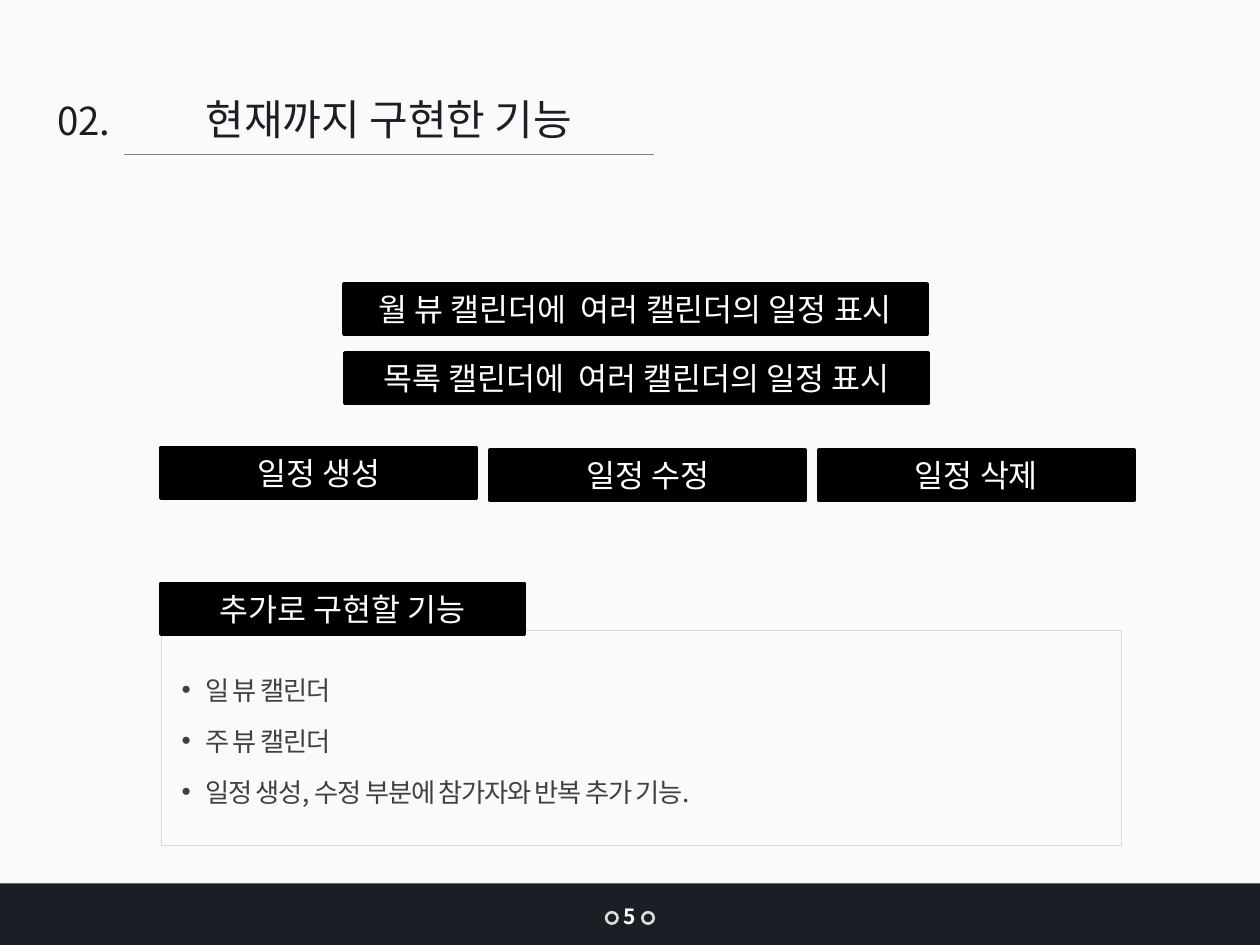
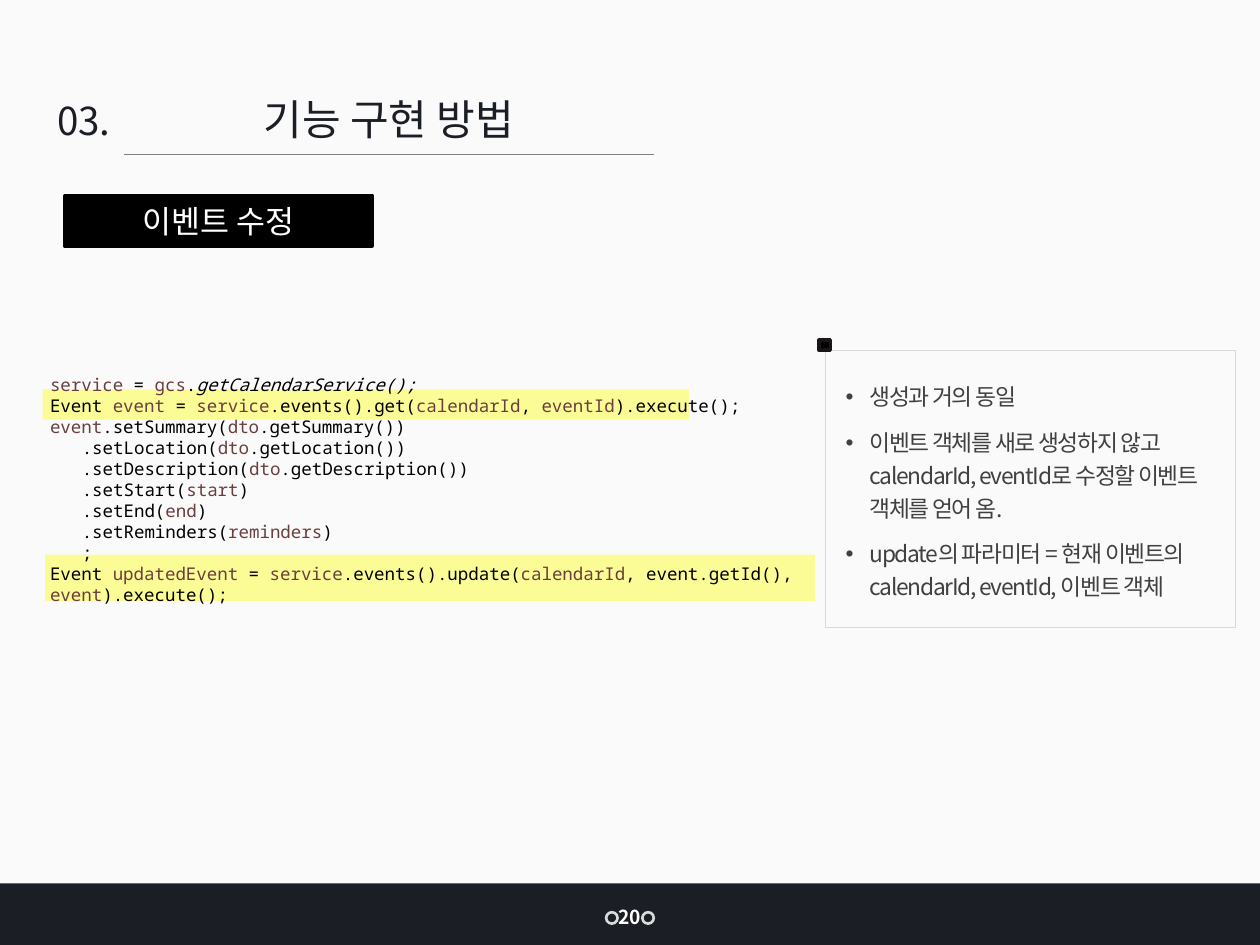
import pptx
import pptx.dml.color
import pptx.enum.shapes
import pptx.enum.text
import pptx.oxml.ns
import pptx.util
from dataclasses import dataclass
from lxml import etree

Cm, Pt = pptx.util.Cm, pptx.util.Pt
SHAPE = pptx.enum.shapes.MSO_SHAPE
ALIGN = pptx.enum.text.PP_ALIGN
qn = pptx.oxml.ns.qn


@dataclass(frozen=True)
class Theme:
    sans: str = "Noto Sans CJK KR"
    mono: str = "Noto Sans Mono"
    paper: str = "FAFAFA"
    navy: str = "1B1E25"
    black: str = "000000"
    white: str = "FFFFFF"
    body: str = "404040"
    rule: str = "808080"
    frame: str = "D9D9D9"
    ring: str = "D8DBD7"
    marker_edge: str = "1A1617"
    variable: str = "6A3E3E"
    highlight: str = "FFFF00"
    title_size: int = 24
    number_size: int = 22
    label_size: int = 18
    code_size: int = 10


THEME = Theme()

# Places are (left, top, width, height) in centimetres.
WIDE_LABELS = [
    ("월 뷰 캘린더에  여러 캘린더의 일정 표시", (6.93, 5.72, 11.76, 1.02)),
    ("목록 캘린더에  여러 캘린더의 일정 표시", (6.96, 7.11, 11.76, 1.02)),
]
EVENT_LABELS = [("일정 생성", 9.02), ("일정 수정", 9.07), ("일정 삭제", 9.07)]
EVENT_LEFT, EVENT_PITCH, EVENT_WIDTH, LABEL_HEIGHT = 3.25, 6.63, 6.35, 1.02

TODO_LABEL = ("추가로 구현할 기능", (3.25, 11.76, 7.32, 1.02))
TODO_PLACE = (3.25, 12.7, 19.35, 4.34)
TODO_ITEMS = [
    "일 뷰 캘린더",
    "주 뷰 캘린더",
    "일정 생성, 수정 부분에 참가자와 반복 추가 기능.",
]

UPDATE_LABEL = ("이벤트 수정", (1.3, 3.94, 6.2, 1.02))
UPDATE_PLACE = (16.64, 7.06, 8.26, 5.59)
UPDATE_ITEMS = [
    "생성과 거의 동일",
    "이벤트 객체를 새로 생성하지 않고 calendarId, eventId로 수정할 이벤트 객체를 얻어 옴.",
    "update의 파라미터 = 현재 이벤트의 calendarId, eventId, 이벤트 객체",
]
MARKER_PLACE = (16.51, 6.86, 0.23, 0.2)
HIGHLIGHTS = [(0.91, 11.18, 15.52, 0.94), (0.86, 7.85, 13.03, 0.61)]
CODE_PLACE = (0.76, 7.39, 15.67, 4.95)
# Backticks enclose variables, asterisks enclose italics.
CODE = [
    (0, "`service` = `gcs`.*getCalendarService();*"),
    (0, "Event `event` = `service`.events().get(`calendarId`, `eventId`).execute();"),
    (0, "`event`.setSummary(`dto`.getSummary())"),
    (1, ".setLocation(`dto`.getLocation())"),
    (1, ".setDescription(`dto`.getDescription())"),
    (1, ".setStart(`start`)"),
    (1, ".setEnd(`end`)"),
    (1, ".setReminders(`reminders`)"),
    (1, ";"),
    (0, "Event `updatedEvent` = `service`.events().update(`calendarId`, event.getId(), `event`).execute();"),
]
CODE_INDENT = 0.64


def rgb(value):
    return pptx.dml.color.RGBColor.from_string(value)


def set_all(target, values):
    for name, value in values.items():
        setattr(target, name, value)


def add_block(page, place, fill=None, line=None, width=1, kind=SHAPE.RECTANGLE):
    shape = page.shapes.add_shape(kind, *map(Cm, place))
    shape.shadow.inherit = False
    if fill:
        shape.fill.solid()
        shape.fill.fore_color.rgb = rgb(fill)
    else:
        shape.fill.background()
    if line:
        shape.line.color.rgb = rgb(line)
        shape.line.width = Pt(width)
    else:
        shape.line.fill.background()
    return shape


def add_span(para, text, size, color, font=THEME.sans, **extra):
    """Add a run that uses one font for Latin and Korean letters."""
    span = para.add_run()
    span.text = text
    set_all(span.font, {"size": Pt(size), "name": font, **extra})
    span.font.color.rgb = rgb(color)
    etree.SubElement(span.font._element, qn("a:ea"), typeface=font)
    return span


def next_para(frame, index):
    return frame.add_paragraph() if index else frame.paragraphs[0]


def set_frame(shape, side=0.25):
    frame = shape.text_frame
    set_all(frame, {
        "word_wrap": True,
        "vertical_anchor": pptx.enum.text.MSO_ANCHOR.MIDDLE,
        "margin_left": Cm(side),
        "margin_right": Cm(side),
    })
    return frame


def add_centred(shape, text, size, color, **extra):
    para = set_frame(shape).paragraphs[0]
    para.alignment = ALIGN.CENTER
    add_span(para, text, size, color, **extra)


def add_text(page, place, text, size, color, **extra):
    box = page.shapes.add_textbox(*map(Cm, place))
    add_centred(box, text, size, color, **extra)


def add_label(page, text, place):
    label = add_block(page, place, THEME.black, THEME.black, 2)
    add_centred(label, text, THEME.label_size, THEME.white)


def add_bullet_panel(page, place, items, size):
    frame = set_frame(add_block(page, place, line=THEME.frame, width=0.5), side=0.41)
    for index, item in enumerate(items):
        para = next_para(frame, index)
        set_all(para, {"alignment": ALIGN.LEFT, "line_spacing": 1.2, "space_before": Pt(7.5)})
        properties = para._p.get_or_add_pPr()
        properties.set("marL", str(Cm(0.48)))
        properties.set("indent", str(-Cm(0.48)))
        etree.SubElement(properties, qn("a:buFont"), typeface="Arial")
        etree.SubElement(properties, qn("a:buChar"), char="•")
        span = add_span(para, item, size, THEME.body)
        span.font._element.set("spc", "-70")


def add_code(page):
    frame = set_frame(page.shapes.add_textbox(*map(Cm, CODE_PLACE)))
    for index, (level, source) in enumerate(CODE):
        para = next_para(frame, index)
        para._p.get_or_add_pPr().set("marL", str(Cm(CODE_INDENT * level)))
        for part, piece in enumerate(source.split("*")):
            for position, text in enumerate(piece.split("`")):
                if text:
                    color = THEME.variable if position % 2 else THEME.black
                    add_span(para, text, THEME.code_size, color, THEME.mono, italic=part % 2 == 1)


def add_page(deck, number, title, page_number, page_number_size):
    """Add a page with the shared heading, rule and footer."""
    page = deck.slides.add_slide(deck.slide_layouts[6])
    add_block(page, (0, 17.81, 25.4, 1.24), THEME.navy)
    for left in (12.22, 12.95):
        add_block(page, (left, 18.39, 0.23, 0.23), THEME.navy, THEME.ring, 1.5, SHAPE.OVAL)
    add_text(page, (12.1, 18.1, 1.2, 0.75), page_number, page_number_size, THEME.white, bold=True)
    add_text(page, (1.78, 1.75, 12.12, 1.27), title, THEME.title_size, THEME.navy)
    add_text(page, (0.76, 1.83, 2.03, 1.19), number, THEME.number_size, THEME.navy)
    rule = page.shapes.add_connector(
        pptx.enum.shapes.MSO_CONNECTOR.STRAIGHT, Cm(2.51), Cm(3.12), Cm(13.18), Cm(3.12))
    rule.line.color.rgb = rgb(THEME.rule)
    rule.line.width = Pt(0.75)
    etree.SubElement(rule._element.spPr, qn("a:effectLst"))
    return page


def build_features(deck):
    page = add_page(deck, "02. ", "현재까지 구현한 기능", "5", 12)
    for text, place in WIDE_LABELS:
        add_label(page, text, place)
    for column, (text, top) in enumerate(EVENT_LABELS):
        left = EVENT_LEFT + column * EVENT_PITCH
        add_label(page, text, (left, top, EVENT_WIDTH, LABEL_HEIGHT))
    add_bullet_panel(page, TODO_PLACE, TODO_ITEMS, 15)
    add_label(page, *TODO_LABEL)


def build_event_update(deck):
    page = add_page(deck, "03. ", "기능 구현 방법", "20", 11)
    add_bullet_panel(page, UPDATE_PLACE, UPDATE_ITEMS, 13)
    add_block(page, MARKER_PLACE, THEME.black, THEME.marker_edge, 2)
    add_label(page, *UPDATE_LABEL)
    for place in HIGHLIGHTS:
        highlight = add_block(page, place, THEME.highlight)
        color = highlight._element.spPr.find(qn("a:solidFill"))[0]
        etree.SubElement(color, qn("a:alpha"), val="40000")
    add_code(page)


def main():
    deck = pptx.Presentation()
    set_all(deck, {"slide_width": Cm(25.4), "slide_height": Cm(19.05)})
    backdrop = deck.slide_master.background.fill
    backdrop.solid()
    backdrop.fore_color.rgb = rgb(THEME.paper)
    build_features(deck)
    build_event_update(deck)
    deck.save("out.pptx")


if __name__ == "__main__":
    main()
